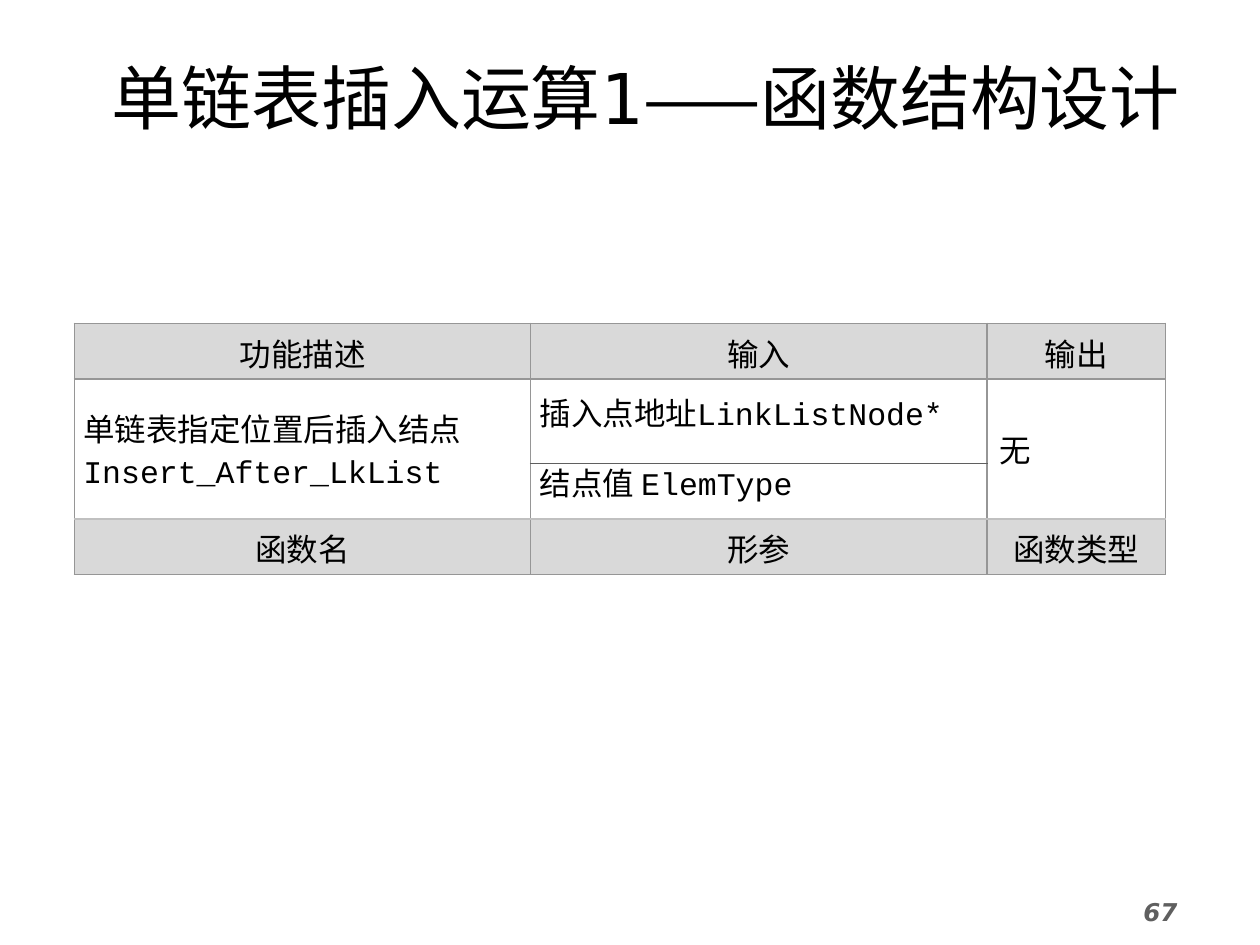
from lxml.etree import SubElement as Sub
from pptx import Presentation
from pptx.dml.color import RGBColor as RGB
from pptx.enum.text import MSO_ANCHOR as Anchor, PP_ALIGN as Align
from pptx.oxml.ns import qn
from pptx.util import Cm, Pt

INK = {"text": "000000", "page": "5F5F5F", "head": "D9D9D9", "body": "FFFFFF",
       "line": "969696", "mid": "5F5F5F", "foot": "C0C0C0"}
CJK = "Noto Sans CJK SC"
COLS = (9.2, 9.2, 3.6)
ROWS = (1.12, 1.7, 1.12, 1.12)
GRID = (
    ("功能描述", "输入", "输出"),
    ("单链表指定位置后插入结点\nInsert_After_LkList", "插入点地址LinkListNode*", "无"),
    ("", "结点值 ElemType", ""),
    ("函数名", "形参", "函数类型"),
)
# Colours of the row edges, top to bottom
EDGES = ("line", "line", "mid", "foot", "line")


def style(font, name, size, ink="text"):
    font.name, font.size = name, Pt(size)
    font.color.rgb = RGB.from_string(INK[ink])


def east(props):
    """Set the East Asian typeface after the Latin one."""
    props.find(qn("a:latin")).addnext(props.makeelement(qn("a:ea"), {"typeface": CJK}))


def rule(cell, side, ink):
    """Draw one border of a cell."""
    line = Sub(cell._tc.get_or_add_tcPr(), qn("a:ln" + side), w=str(Pt(1)))
    fill = Sub(line, qn("a:solidFill"))
    Sub(fill, qn("a:srgbClr"), val=INK[ink])


def add_title(slide, x, y, w, h):
    title = slide.shapes.title
    title.left, title.top, title.width, title.height = Cm(x), Cm(y), Cm(w), Cm(h)
    frame = title.text_frame
    frame.vertical_anchor = Anchor.MIDDLE
    para = frame.paragraphs[0]
    para.alignment = Align.CENTER
    for text, name in (("单链表插入运算1", "DejaVu Sans Mono"), ("——函数结构设计", CJK)):
        run = para.add_run()
        run.text = text
        style(run.font, name, 40)
        east(run._r.rPr)


def fill_cell(cell, text, row, col):
    head = row in (0, 3)
    tight = not head and col < 2
    side, edge = (0.18, 0) if tight else (0.25, 0.13)
    cell.margin_left = cell.margin_right = Cm(side)
    cell.margin_top = cell.margin_bottom = Cm(edge)
    cell.vertical_anchor = Anchor.TOP if head else Anchor.MIDDLE
    # Borders come before the fill
    low = row + (cell.span_height if cell.is_merge_origin else 1)
    for name, ink in (("L", "line"), ("R", "line"), ("T", EDGES[row]), ("B", EDGES[low])):
        rule(cell, name, ink)
    cell.fill.solid()
    cell.fill.fore_color.rgb = RGB.from_string(INK["head" if head else "body"])
    if not text:
        return
    cell.text = text
    for num, para in enumerate(cell.text_frame.paragraphs):
        para.alignment = Align.CENTER if head else Align.LEFT
        if num:
            para.space_before = Pt(3.6)
        if not head and col == 1:
            para.line_spacing = Pt(15.6)
        style(para.font, "Courier New", 18)
        east(para._p.pPr.find(qn("a:defRPr")))


def add_grid(slide, x, y):
    shape = slide.shapes.add_table(len(ROWS), len(COLS), Cm(x), Cm(y),
                                   Cm(sum(COLS)), Cm(sum(ROWS)))
    table = shape.table
    for col, size in zip(table.columns, COLS):
        col.width = Cm(size)
    for row, size in zip(table.rows, ROWS):
        row.height = Cm(size)
    for col in (0, 2):
        table.cell(1, col).merge(table.cell(2, col))
    for row, texts in enumerate(GRID):
        for col, text in enumerate(texts):
            fill_cell(table.cell(row, col), text, row, col)


def add_page(slide, x, y, w, h):
    frame = slide.shapes.add_textbox(Cm(x), Cm(y), Cm(w), Cm(h)).text_frame
    frame.word_wrap = True
    para = frame.paragraphs[0]
    para.text = "67"
    style(para.font, "DejaVu Sans", 14, "page")
    para.font.bold = para.font.italic = True


def main():
    deck = Presentation()
    deck.slide_width, deck.slide_height = Cm(25.4), Cm(19.05)
    slide = deck.slides.add_slide(deck.slide_layouts[5])
    add_title(slide, 0.9, 0.97, 24.23, 1.95)
    add_page(slide, 22.8, 17.95, 2.6, 1.1)
    add_grid(slide, 1.5, 6.52)
    deck.save("out.pptx")


if __name__ == "__main__":
    main()
